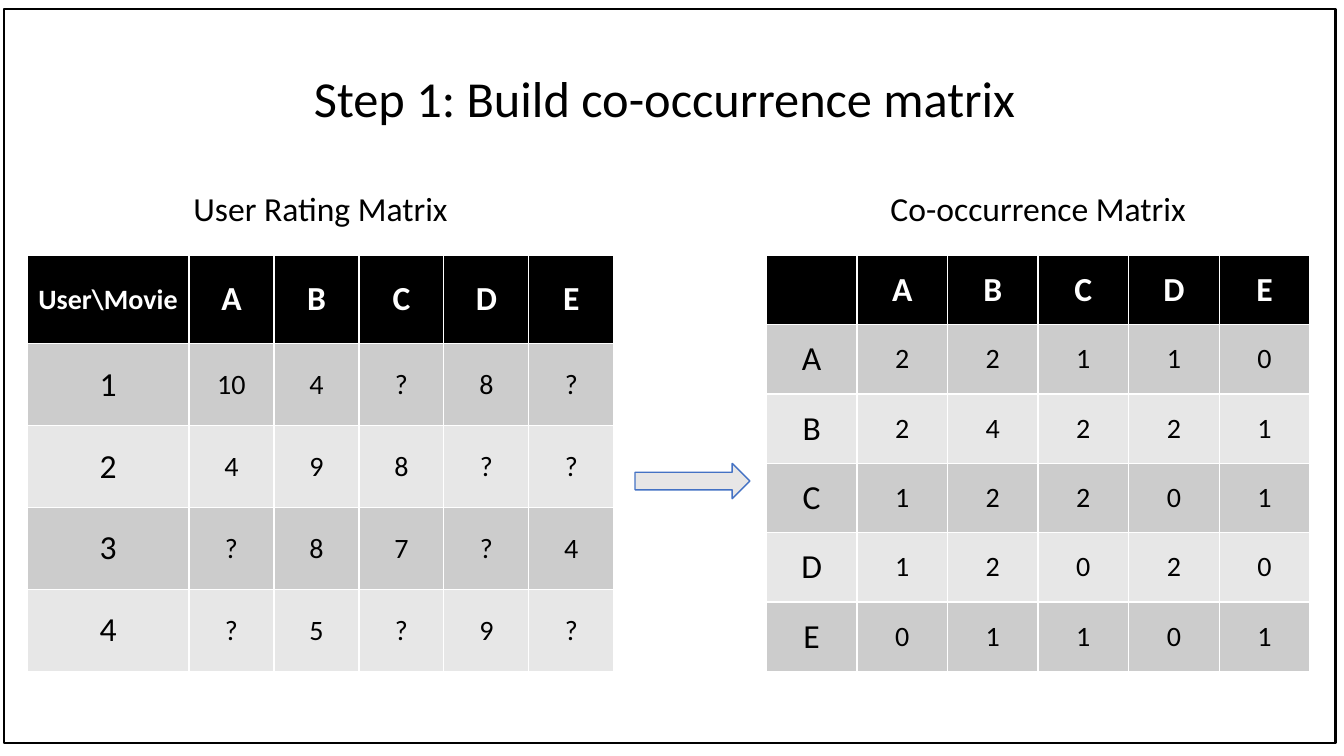
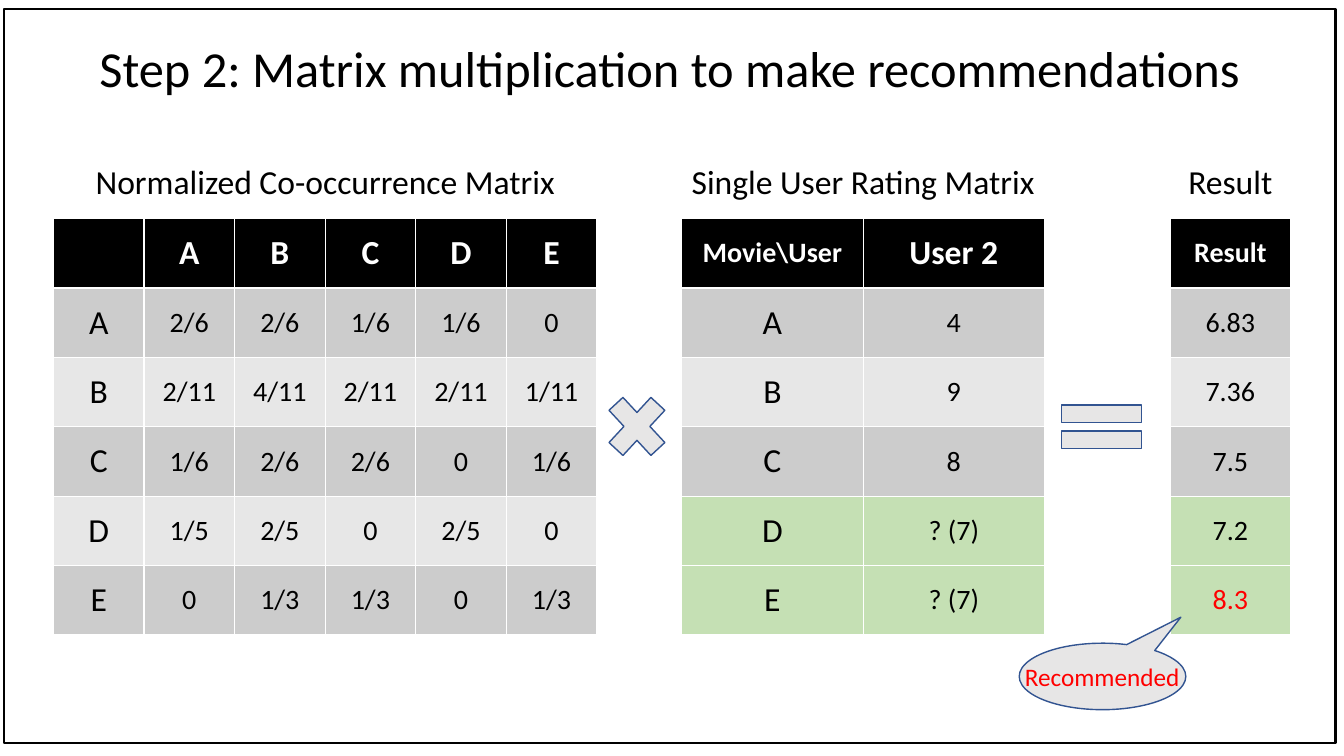
from dataclasses import dataclass

from pptx import Presentation
from pptx.dml.color import RGBColor
from pptx.enum.shapes import MSO_SHAPE
from pptx.enum.text import MSO_ANCHOR, PP_ALIGN
from pptx.shapes.autoshape import Shape
from pptx.slide import Slide
from pptx.util import Pt

BLACK = RGBColor(0x00, 0x00, 0x00)
WHITE = RGBColor(0xFF, 0xFF, 0xFF)
DARK_BAND = RGBColor(0xCC, 0xCC, 0xCC)
LIGHT_BAND = RGBColor(0xE7, 0xE7, 0xE7)
GREEN = RGBColor(0xC5, 0xE0, 0xB4)
RED = RGBColor(0xFF, 0x00, 0x00)
SYMBOL_FILL = RGBColor(0xE7, 0xE6, 0xE6)
BRIGHT_BLUE = RGBColor(0x44, 0x72, 0xC4)
DEEP_BLUE = RGBColor(0x32, 0x54, 0x91)

FONT = "Calibri"
TITLE_SIZE, LARGE, MEDIUM, SMALL = 36, 24, 20, 18
TABLE_HEIGHT = 297.4
MOVIES = "ABCDE"


@dataclass(frozen=True)
class Box:
    left: float
    top: float
    width: float
    height: float

    def emu(self) -> tuple[Pt, Pt, Pt, Pt]:
        return Pt(self.left), Pt(self.top), Pt(self.width), Pt(self.height)


@dataclass(frozen=True)
class Matrix:
    caption: str
    caption_width: float
    left: float
    column_widths: tuple[float, ...]
    rows: tuple[tuple[str, ...], ...]
    header_height: float = TABLE_HEIGHT / 6
    green_rows: tuple[int, ...] = ()
    red_row: int | None = None


@dataclass(frozen=True)
class Symbol:
    kind: MSO_SHAPE
    box: Box
    outline: RGBColor = DEEP_BLUE
    fill: RGBColor = SYMBOL_FILL
    outline_width: float = 1


@dataclass(frozen=True)
class Step:
    title: str
    title_box: Box
    caption_top: float
    table_top: float
    matrices: tuple[Matrix, ...]
    symbols: tuple[Symbol, ...]


FRAME = Symbol(MSO_SHAPE.RECTANGLE, Box(3, 6.5, 951, 524), BLACK, WHITE, 1.5)

BUILD = Step(
    "Step 1: Build co-occurrence matrix ",
    Box(206, 44, 546, 51),
    caption_top=130.7,
    table_top=182.3,
    matrices=(
        Matrix(
            "User Rating Matrix", 206, 19.4, (115.6,) + (60.7,) * 5,
            (
                ("User\\Movie", *MOVIES),
                ("1", "10", "4", "?", "8", "?"),
                ("2", *"498??"),
                ("3", *"?87?4"),
                ("4", *"?5?9?"),
            ),
            header_height=63.2,
        ),
        Matrix(
            "Co-occurrence Matrix", 245, 547.4, (64.7,) * 6,
            (
                ("", *MOVIES),
                ("A", *"22110"),
                ("B", *"24221"),
                ("C", *"12201"),
                ("D", *"12020"),
                ("E", *"01101"),
            ),
        ),
    ),
    symbols=(Symbol(MSO_SHAPE.RIGHT_ARROW, Box(453.6, 331, 82, 25.2), BRIGHT_BLUE),),
)

MULTIPLY = Step(
    "Step 2: Matrix multiplication to make recommendations",
    Box(3, 22.3, 951, 51),
    caption_top=111,
    table_top=156.2,
    matrices=(
        Matrix(
            "Normalized Co-occurrence Matrix", 359, 38.2, (64.7,) * 6,
            (
                ("", *MOVIES),
                ("A", "2/6", "2/6", "1/6", "1/6", "0"),
                ("B", "2/11", "4/11", "2/11", "2/11", "1/11"),
                ("C", "1/6", "2/6", "2/6", "0", "1/6"),
                ("D", "1/5", "2/5", "0", "2/5", "0"),
                ("E", "0", "1/3", "1/3", "0", "1/3"),
            ),
        ),
        Matrix(
            "Single User Rating Matrix", 264, 486.9, (129.6,) * 2,
            (
                ("Movie\\User", "User 2"),
                ("A", "4"),
                ("B", "9"),
                ("C", "8"),
                ("D", "? (7)"),
                ("E", "? (7)"),
            ),
            green_rows=(4, 5),
        ),
        Matrix(
            "Result", 81, 836, (85.7,),
            (("Result",), ("6.83",), ("7.36",), ("7.5",), ("7.2",), ("8.3",)),
            green_rows=(4, 5),
            red_row=5,
        ),
    ),
    symbols=(
        Symbol(MSO_SHAPE.MATH_MULTIPLY, Box(426.2, 273.6, 57.6, 62)),
        Symbol(MSO_SHAPE.MATH_EQUAL, Box(748, 278.6, 77.8, 52.6)),
    ),
)


def add_text(slide: Slide, text: str, box: Box, size: float, color: RGBColor = BLACK) -> None:
    frame = slide.shapes.add_textbox(*box.emu()).text_frame
    frame.word_wrap = False
    frame.vertical_anchor = MSO_ANCHOR.MIDDLE
    paragraph = frame.paragraphs[0]
    paragraph.text = text
    paragraph.alignment = PP_ALIGN.CENTER
    paragraph.font.name = FONT
    paragraph.font.size = Pt(size)
    paragraph.font.color.rgb = color


def add_symbol(slide: Slide, symbol: Symbol) -> Shape:
    shape = slide.shapes.add_shape(symbol.kind, *symbol.box.emu())
    shape.shadow.inherit = False
    shape.fill.solid()
    shape.fill.fore_color.rgb = symbol.fill
    shape.line.color.rgb = symbol.outline
    shape.line.width = Pt(symbol.outline_width)
    return shape


def cell_fill(matrix: Matrix, row: int) -> RGBColor:
    if row == 0:
        return BLACK
    if row in matrix.green_rows:
        return GREEN
    return DARK_BAND if row % 2 else LIGHT_BAND


def text_color(matrix: Matrix, row: int) -> RGBColor:
    if row == 0:
        return WHITE
    return RED if row == matrix.red_row else BLACK


def text_size(matrix: Matrix, row: int, column: int) -> int:
    """Movie and user labels are large; corner cells and values are medium."""
    if row == 0:
        is_label = column > 0
    else:
        is_label = column == 0 and len(matrix.column_widths) > 1
    return LARGE if is_label else MEDIUM


def add_matrix(slide: Slide, matrix: Matrix, top: float) -> None:
    body_height = (TABLE_HEIGHT - matrix.header_height) / (len(matrix.rows) - 1)
    box = Box(matrix.left, top, sum(matrix.column_widths), TABLE_HEIGHT)
    table = slide.shapes.add_table(
        len(matrix.rows), len(matrix.column_widths), *box.emu()
    ).table
    for column, width in zip(table.columns, matrix.column_widths):
        column.width = Pt(width)
    for row, texts in enumerate(matrix.rows):
        table.rows[row].height = Pt(body_height if row else matrix.header_height)
        for column, text in enumerate(texts):
            cell = table.cell(row, column)
            cell.fill.solid()
            cell.fill.fore_color.rgb = cell_fill(matrix, row)
            cell.vertical_anchor = MSO_ANCHOR.MIDDLE
            paragraph = cell.text_frame.paragraphs[0]
            paragraph.text = text
            paragraph.alignment = PP_ALIGN.CENTER
            paragraph.font.name = FONT
            paragraph.font.size = Pt(text_size(matrix, row, column))
            paragraph.font.bold = row == 0
            paragraph.font.color.rgb = text_color(matrix, row)


def add_caption(slide: Slide, matrix: Matrix, top: float) -> None:
    """Centre the caption over its matrix."""
    center = matrix.left + sum(matrix.column_widths) / 2
    box = Box(center - matrix.caption_width / 2, top, matrix.caption_width, 36)
    add_text(slide, matrix.caption, box, LARGE)


def add_recommendation(slide: Slide) -> None:
    callout = add_symbol(slide, Symbol(MSO_SHAPE.OVAL_CALLOUT, Box(728, 459.4, 119, 47.5)))
    callout.rotation = 180
    callout.adjustments[0] = -0.47
    callout.adjustments[1] = 0.89
    add_text(slide, "Recommended", Box(723.6, 468.7, 127.4, 29), SMALL, RED)


def add_step(presentation: Presentation, step: Step) -> Slide:
    slide = presentation.slides.add_slide(presentation.slide_layouts[6])
    add_symbol(slide, FRAME)
    for matrix in step.matrices:
        add_matrix(slide, matrix, step.table_top)
        add_caption(slide, matrix, step.caption_top)
    for symbol in step.symbols:
        add_symbol(slide, symbol)
    add_text(slide, step.title, step.title_box, TITLE_SIZE)
    return slide


def main() -> None:
    presentation = Presentation()
    presentation.slide_width = Pt(960)
    presentation.slide_height = Pt(540)
    add_step(presentation, BUILD)
    add_recommendation(add_step(presentation, MULTIPLY))
    presentation.save("out.pptx")


if __name__ == "__main__":
    main()
